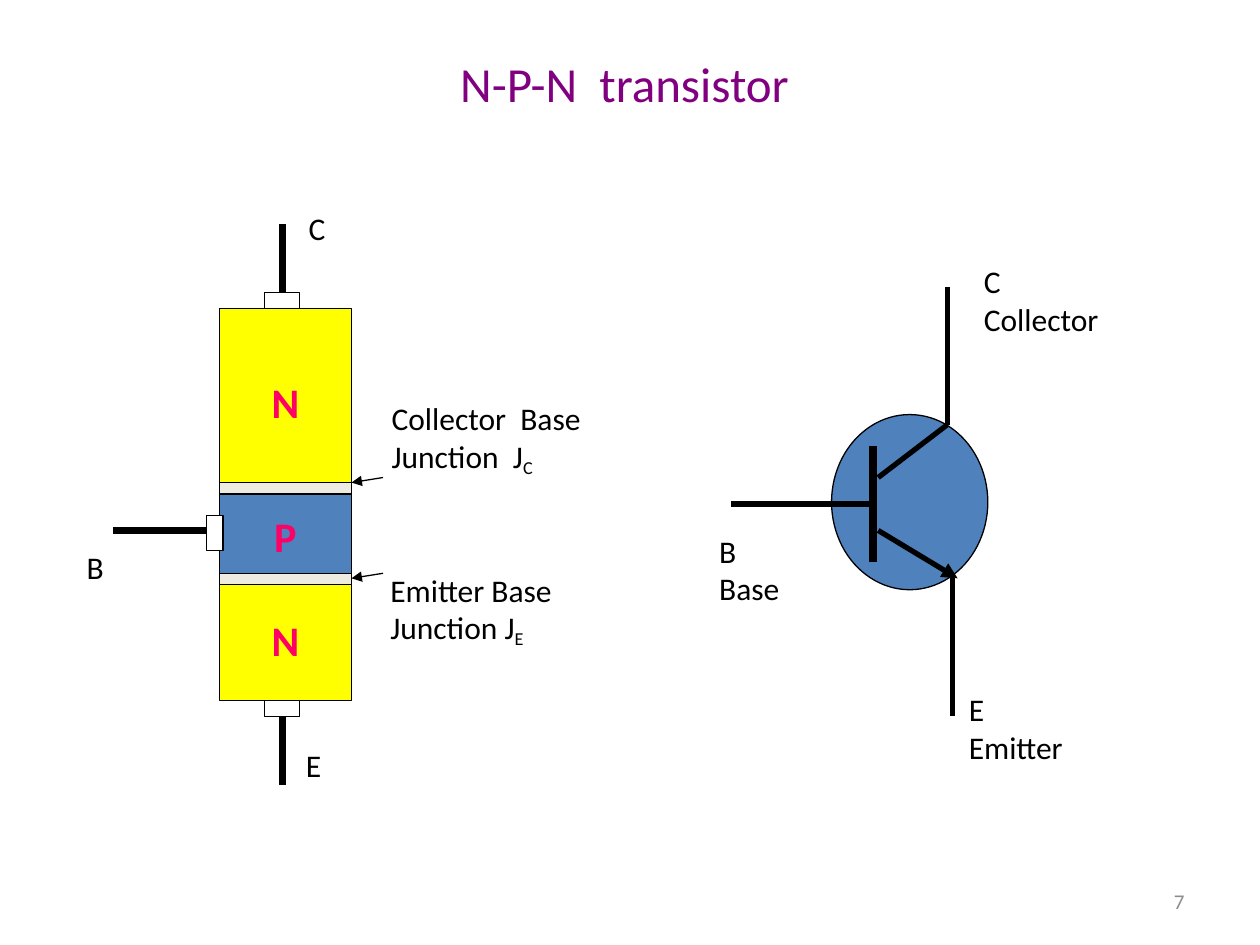
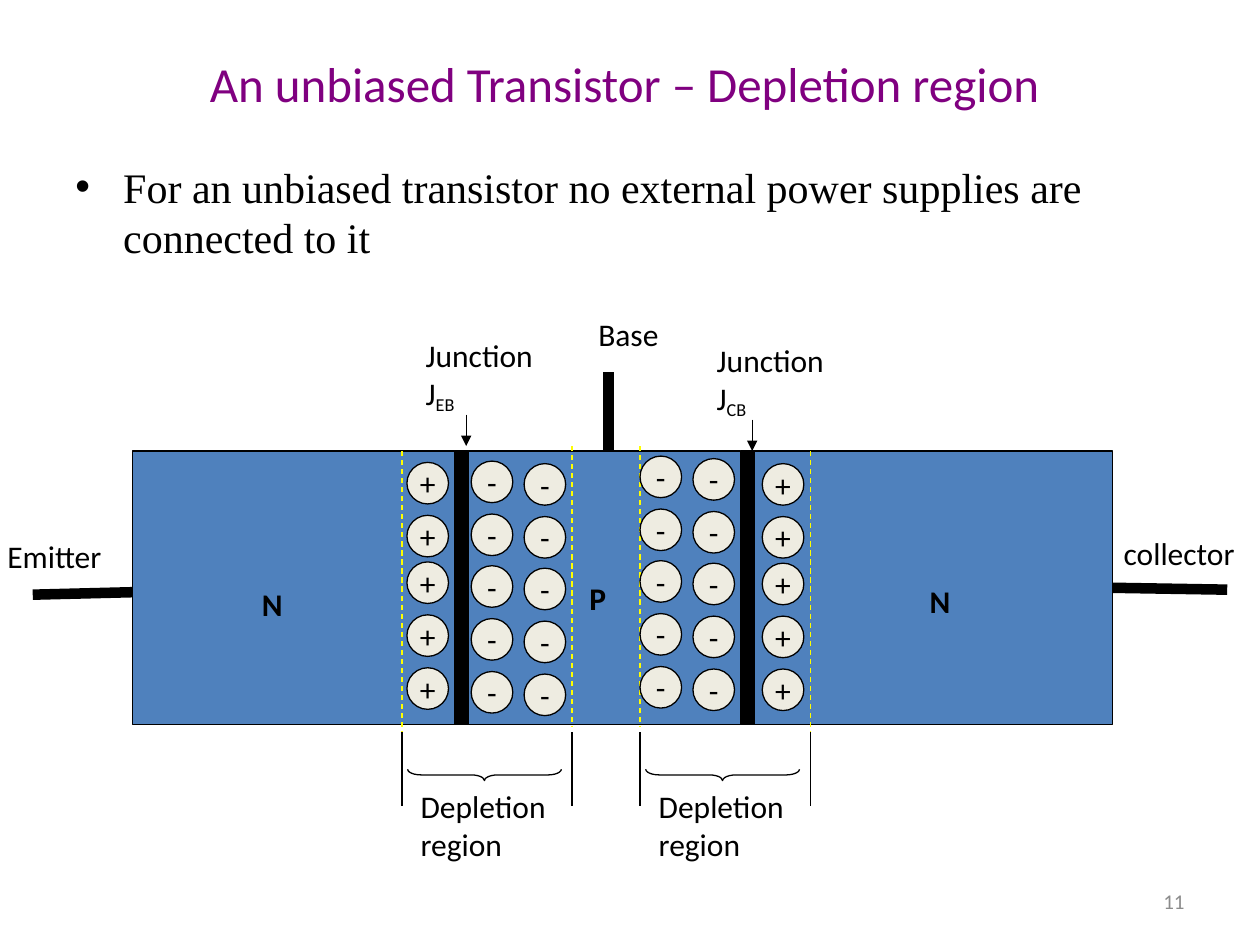
from dataclasses import dataclass

from lxml.etree import SubElement
from pptx import Presentation
from pptx.dml.color import RGBColor
from pptx.enum.dml import MSO_LINE
from pptx.enum.shapes import MSO_CONNECTOR, MSO_SHAPE
from pptx.enum.text import MSO_ANCHOR, MSO_AUTO_SIZE, PP_ALIGN
from pptx.oxml.ns import qn
from pptx.util import Inches, Pt

COLORS = {
    "title": "800080",
    "ink": "000000",
    "number": "8C8C8C",
    "n_type": "FFFF00",
    "p_type": "4F81BD",
    "letter": "FF0066",
    "pale": "EEECE1",
    "contact": "FFFFFF",
    "boundary": "FFFF00",
}
FONT = "Calibri"
BODY_FONT = "Times New Roman"
TITLE_ONLY = 5
THIN = 0.75


def color(name):
    return RGBColor.from_string(COLORS[name])


def inches(*lengths):
    return [Inches(length) for length in lengths]


def add_span(para, text, size, tint="ink", bold=False, font=FONT, subscript=False):
    span = para.add_run()
    span.text = text
    span.font.size = Pt(size)
    span.font.name = font
    span.font.bold = bold
    span.font.color.rgb = color(tint)
    if subscript:
        span._r.get_or_add_rPr().set("baseline", "-18000")


@dataclass
class Region:
    """A box on a page; its parts are placed from its top left corner."""
    page: object
    left: float
    top: float
    width: float
    height: float

    def shape(self, kind, left, top, width, height, fill=None):
        shape = self.page.shapes.add_shape(
            kind, *inches(self.left + left, self.top + top, width, height))
        shape.shadow.inherit = False
        if fill:
            shape.fill.solid()
            shape.fill.fore_color.rgb = color(fill)
        else:
            shape.fill.background()
        shape.line.color.rgb = color("ink")
        shape.line.width = Pt(THIN)
        return shape

    def block(self, left, top, width, height, fill):
        return self.shape(MSO_SHAPE.RECTANGLE, left, top, width, height, fill)

    def line(self, start, end, width=THIN, tint="ink", arrow=False, dashed=False,
             begin_at=None, end_at=None):
        """begin_at and end_at are (shape, site) pairs to join the line to."""
        connector = self.page.shapes.add_connector(
            MSO_CONNECTOR.STRAIGHT,
            *inches(self.left + start[0], self.top + start[1],
                    self.left + end[0], self.top + end[1]))
        if begin_at:
            connector.begin_connect(*begin_at)
        if end_at:
            connector.end_connect(*end_at)
        connector.line.color.rgb = color(tint)
        connector.line.width = Pt(width)
        if dashed:
            connector.line.dash_style = MSO_LINE.DASH
        properties = connector._element.spPr
        if arrow:
            SubElement(properties.find(qn("a:ln")), qn("a:tailEnd"), type="triangle")
        SubElement(properties, qn("a:effectLst"))

    def label(self, left, top, width, *lines, bold=False):
        """Each line is a text, or a pair of a text and its subscript."""
        box = self.page.shapes.add_textbox(
            *inches(self.left + left, self.top + top, width, 0.1 + 0.3 * len(lines)))
        frame = box.text_frame
        frame.word_wrap = False
        frame.auto_size = MSO_AUTO_SIZE.SHAPE_TO_FIT_TEXT
        for index, line in enumerate(lines):
            para = frame.add_paragraph() if index else frame.paragraphs[0]
            text, subscript = (line, None) if isinstance(line, str) else line
            add_span(para, text, 18, bold=bold)
            if subscript:
                add_span(para, subscript, 18, subscript=True)


def write_centered(shape, text, size, tint="ink", bold=False):
    frame = shape.text_frame
    frame.word_wrap = False
    frame.vertical_anchor = MSO_ANCHOR.MIDDLE
    para = frame.paragraphs[0]
    para.alignment = PP_ALIGN.CENTER
    add_span(para, text, size, tint, bold)


def add_page(deck, title, number):
    page = deck.slides.add_slide(deck.slide_layouts[TITLE_ONLY])
    heading = page.shapes.title
    heading.left, heading.top, heading.width, heading.height = inches(0.5, 0.3, 9, 0.72)
    number_box = page.shapes.add_textbox(*inches(7.17, 6.95, 2.33, 0.4))
    number_box.text_frame.word_wrap = True
    for box, text, size, tint, alignment in (
            (heading, title, 28, "title", PP_ALIGN.CENTER),
            (number_box, number, 12, "number", PP_ALIGN.RIGHT)):
        box.text_frame.vertical_anchor = MSO_ANCHOR.MIDDLE
        para = box.text_frame.paragraphs[0]
        para.alignment = alignment
        add_span(para, text, size, tint)
    return page


def add_bullet_text(page, text):
    box = page.shapes.add_textbox(*inches(0.5, 1.23, 9, 1.09))
    box.text_frame.word_wrap = True
    para = box.text_frame.paragraphs[0]
    properties = para._p.get_or_add_pPr()
    properties.set("marL", str(Inches(0.38)))
    properties.set("indent", str(-Inches(0.38)))
    SubElement(properties, qn("a:buFont"), typeface="Arial")
    SubElement(properties, qn("a:buChar"), char="•")
    add_span(para, text, 24, font=BODY_FONT)


def draw_layer_stack(region):
    """Upright N-P-N block with its three contacts and two junctions."""
    width, height = region.width, region.height
    collector_height, base_height = 1.47, 0.67
    emitter_top = collector_height + base_height
    for letter, top, layer_height, fill in (
            ("N", 0, collector_height, "n_type"),
            ("N", emitter_top, height - emitter_top, "n_type"),
            ("P", collector_height, base_height, "p_type")):
        layer = region.block(0, top, width, layer_height, fill)
        write_centered(layer, letter, 24, "letter", bold=True)

    for junction_top, arrow_rise, label_left, label_top, label_width, lines in (
            (1.38, 0.04, 1.27, 0.67, 1.9, ("Collector  Base", ("Junction  J", "C"))),
            (2.1, 0, 1.26, 2.03, 1.63, ("Emitter Base", ("Junction J", "E")))):
        region.block(0, junction_top, width, 0.09, "pale")
        arrow_top = junction_top - arrow_rise
        region.line((width + 0.25, arrow_top), (width, arrow_top + 0.04), arrow=True)
        region.label(label_left, label_top, label_width, *lines)

    depth, span = 0.13, 0.28
    lead_x, lead_length = 0.5, 0.67
    for contact_top, lead_end, lead_start, site in (
            (-depth, -depth, -lead_length, 0),
            (height, height + depth, height + lead_length, 2)):
        contact = region.block(lead_x - span / 2, contact_top, span, depth, "contact")
        region.line((lead_x, lead_start), (lead_x, lead_end), 4, end_at=(contact, site))
    region.line((-0.84, 1.76), (0, 1.76), 4)
    region.block(-0.1, 1.64, depth, span, "contact")

    region.label(0.61, -0.84, 0.38, "C")
    region.label(0.59, 3.42, 0.37, "E")
    region.label(-1.15, 1.85, 0.37, "B")


def draw_symbol(region):
    """Circuit symbol of the transistor with its leads."""
    region.shape(MSO_SHAPE.OVAL, 0, 0, region.width, region.height, "p_type")
    base_x = 0.33
    collector_end, emitter_end = (0.92, 0.08), (1, 1.3)
    region.line((base_x, 0.25), (base_x, 1.17), 4.5)
    region.line((0.37, 0.92), emitter_end, 3, arrow=True)
    region.line((0.37, 0.5), collector_end, 3)
    region.line((0.96, 1.3), (0.96, 2.39), 3)
    region.line((0.92, -1.01), collector_end, 3)
    region.line((-0.8, 0.71), (base_x, 0.71), 3)
    region.label(0.99, 2.14, 0.99, "E", "Emitter")
    region.label(-0.99, 0.88, 0.77, "B", "Base")
    region.label(1.11, -1.26, 1.19, "C", "Collector")


def draw_unbiased_block(region):
    """Lying N-P-N block with leads, junction bars and labels."""
    height = region.height
    for left, width in ((0, 2.56), (2.67, 2.16), (4.92, 2.86)):
        collector = region.block(left, 0, width, height, "p_type")
    for left in (2.56, 4.83):
        region.block(left, 0, 0.11, height, "ink")

    region.line((-0.79, 1.14), (0, 1.12), 6)
    region.line((7.78, 1.09), (8.69, 1.1), 6, begin_at=(collector, 3))
    region.line((3.78, 0), (3.78, -0.63), 6)
    for letter, left, top in (("N", 0.93, 1.01), ("P", 3.53, 0.97), ("N", 6.23, 0.99)):
        region.label(left, top, 0.38, letter, bold=True)
    for name, left, top, width in (("Emitter", -1.09, 0.63, 0.99),
                                   ("collector", 7.77, 0.61, 1.13),
                                   ("Base", 3.6, -1.13, 0.84)):
        region.label(left, top, width, name)
    for subscript, left, top, arrow_x in (("EB", 2.23, -0.96, 2.65),
                                          ("CB", 4.54, -0.92, 4.92)):
        region.label(left, top, 1.13, "Junction", ("J", subscript))
        region.line((arrow_x, top + 0.67), (arrow_x, top + 0.92), arrow=True)


def draw_depletion_region(region, edge_tops, columns):
    """Columns are (sign, left, top) of the charges between the two edges."""
    for x, top in zip((0, region.width), edge_tops):
        region.line((x, top), (x, top + 2.23), tint="boundary", dashed=True)
        region.line((x, 2.23), (x, 2.82))
    row_offsets = {"+": (0, 0.42, 0.79, 1.21, 1.63), "-": (0, 0.42, 0.83, 1.25, 1.67)}
    for sign, left, top in columns:
        for offset in row_offsets[sign]:
            charge = region.shape(MSO_SHAPE.OVAL, left, top + offset, 0.33, 0.33, "pale")
            write_centered(charge, sign, 18)
    brace = region.shape(MSO_SHAPE.RIGHT_BRACE, 0.61, 1.96, 0.09, 1.22)
    brace.rotation = 90
    brace.adjustments[0] = 1.19
    brace.adjustments[1] = 0.5
    region.label(0.05, 2.62, 1.26, "Depletion", "region")


def build_transistor_page(deck):
    page = add_page(deck, "N-P-N  transistor ", "7")
    draw_layer_stack(Region(page, 1.74, 2.45, 1.05, 3.11))
    draw_symbol(Region(page, 6.6, 3.29, 1.24, 1.39))


def build_depletion_page(deck):
    page = add_page(deck, "An unbiased Transistor – Depletion region ", "11")
    add_bullet_text(page, "For an unbiased transistor no external power supplies "
                          "are connected to it")
    top, height, width = 3.58, 2.17, 1.35
    draw_unbiased_block(Region(page, 1.05, top, 7.78, height))
    draw_depletion_region(Region(page, 3.19, top, width, height), (0, -0.04),
                          (("+", 0.04, 0.09), ("-", 0.55, 0.08), ("-", 0.97, 0.1)))
    draw_depletion_region(Region(page, 5.08, top, width, height), (-0.04, 0),
                          (("-", 0, 0.04), ("-", 0.42, 0.06), ("+", 0.97, 0.1)))


def main():
    deck = Presentation()
    deck.slide_width, deck.slide_height = inches(10, 7.5)
    build_transistor_page(deck)
    build_depletion_page(deck)
    deck.save("out.pptx")


if __name__ == "__main__":
    main()
